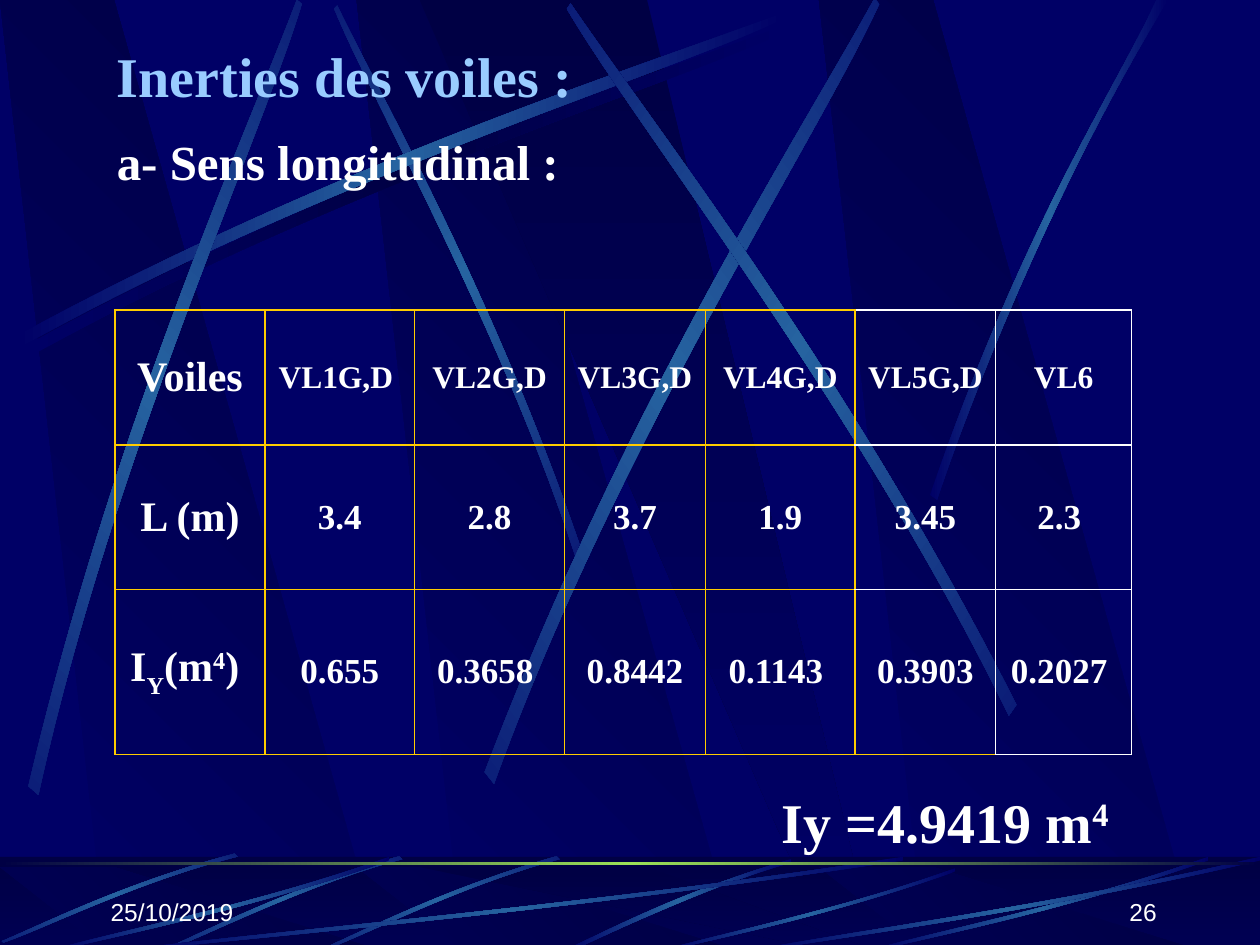
from dataclasses import dataclass

from lxml.etree import SubElement as Sub
from pptx import Presentation
from pptx.dml.color import RGBColor as Rgb
from pptx.enum.shapes import MSO_SHAPE as Kind
from pptx.enum.text import MSO_ANCHOR as Anchor, MSO_AUTO_SIZE as Auto, PP_ALIGN as Align
from pptx.oxml.ns import qn
from pptx.util import Cm, Pt


@dataclass(frozen=True)
class Theme:
    navy: str = "000066"
    night: str = "000044"
    steel: str = "2663A0"
    lime: str = "9CE157"
    sky: str = "99CCFF"
    white: str = "FFFFFF"
    gold: str = "FFCC00"
    serif: str = "Times New Roman"
    sans: str = "Arial"
    big: int = 32
    sub: int = 28
    head: int = 24
    cell: int = 20
    tag: int = 18
    foot: int = 14


BAND = [(0.28, 1), (1, 1), (0.3, 0), (0, 0)]
BEAM = [(0, 0), (0.9, 1), (1, 1), (0.5, 0)]
ARC = [(0, 0.96), (0.43, 0.43), (0.83, 0.15), (1, 0),
       (1, 0.02), (0.84, 0.19), (0.39, 0.5), (0, 1)]
BOW = [(0, 0.99), (0.4, 0.44), (0.79, 0.17), (0.95, 0),
       (1, 0), (0.52, 0.37), (0.16, 0.81), (0.03, 1)]
BLADE = [(1, 0), (0.49, 0.37), (0.16, 0.82), (0, 0.99),
         (0.03, 1), (0.23, 0.77), (0.68, 0.25), (1, 0.04)]


class Deck:
    def __init__(self, theme):
        self.look = theme
        self.file = Presentation()
        self.file.slide_width, self.file.slide_height = Cm(25.4), Cm(19.05)
        self.slide = self.file.slides.add_slide(self.file.slide_layouts[5])
        fill = self.slide.background.fill
        fill.solid()
        fill.fore_color.rgb = Rgb.from_string(theme.navy)

    def blend(self, shape, hues, angle=0):
        shape.shadow.inherit = False
        shape.line.fill.background()
        shape.fill.gradient()
        shape.fill.gradient_angle = -angle % 360
        stops = shape._element.spPr.find(qn("a:gradFill")).find(qn("a:gsLst"))
        stops.clear()
        for n, hue in enumerate(hues):
            stop = Sub(stops, qn("a:gs"), pos=str(100000 * n // (len(hues) - 1)))
            Sub(stop, qn("a:srgbClr"), val=hue)

    def form(self, points, box, hues, angle=0, turn=0, flip=False):
        x, y, w, h = box
        spots = [(Cm(x + w * (1 - u if flip else u)), Cm(y + h * v)) for u, v in points]
        pen = self.slide.shapes.build_freeform(*spots[0], scale=1.0)
        pen.add_line_segments(spots[1:], close=True)
        shape = pen.convert_to_shape()
        shape.rotation = turn
        self.blend(shape, hues, angle)
        return shape

    def bend(self, shape):
        legs = list(shape._element.iter(qn("a:lnTo")))
        for first, *rest in (legs[:3], legs[4:7]):
            first.tag = qn("a:cubicBezTo")
            for leg in rest:
                first.append(leg[0])
                leg.getparent().remove(leg)

    def streak(self, points, box, turn=0, flip=False, core=None):
        hues = (self.look.navy, core or self.look.steel, self.look.navy)
        self.bend(self.form(points, box, hues, turn=turn, flip=flip))

    def bar(self, box, hues, angle=0):
        shape = self.slide.shapes.add_shape(Kind.RECTANGLE, *map(Cm, box))
        self.blend(shape, hues, angle)

    def veil(self, box, hue, alpha):
        shape = self.slide.shapes.add_shape(Kind.RECTANGLE, *map(Cm, box))
        shape.shadow.inherit = False
        shape.line.fill.background()
        shape.fill.solid()
        shape.fill.fore_color.rgb = Rgb.from_string(hue)
        tint = shape._element.spPr.find(qn("a:solidFill"))[0]
        Sub(tint, qn("a:alpha"), val=str(alpha * 1000))

    def rays(self, top, tall):
        dim = (self.look.navy, self.look.night)
        for x in (7.19, 0, 16.51):
            self.form(BAND, (x, top, 7.67, tall), dim, 315)
        self.form(BEAM, (8.46, top, 9.17, tall), dim[::-1], 90)

    def sink(self):
        tree = self.file.slide_master.shapes._spTree
        decor = [shape for shape in self.slide.shapes if not shape.is_placeholder]
        for n, shape in enumerate(decor):
            shape._element.nvSpPr.cNvPr.set("id", str(100 + n))
            tree.insert(2 + n, shape._element)

    def run(self, para, text, size, hue=None, face=None, bold=True, base=0):
        run = para.add_run()
        run.text = text
        font = run.font
        font.size, font.bold = Pt(size), bold
        font.name = face or self.look.serif
        font.color.rgb = Rgb.from_string(hue or self.look.white)
        if base:
            run._r.get_or_add_rPr().set("baseline", str(base * 1000))

    def title(self, box, lines):
        shape = self.slide.shapes.title
        shape.left, shape.top, shape.width, shape.height = map(Cm, box)
        frame = shape.text_frame
        frame.word_wrap, frame.auto_size = True, Auto.NONE
        frame.vertical_anchor = Anchor.TOP
        for n, (text, size, hue, gap) in enumerate(lines):
            para = frame.add_paragraph() if n else frame.paragraphs[0]
            para.alignment, para.space_before = Align.LEFT, Pt(gap)
            self.run(para, text, size, hue)

    def label(self, box, align=Align.LEFT, anchor=Anchor.TOP, inset=0.13):
        frame = self.slide.shapes.add_textbox(*map(Cm, box)).text_frame
        frame.word_wrap, frame.vertical_anchor = True, anchor
        frame.margin_top = Cm(inset)
        para = frame.paragraphs[0]
        para.alignment = align
        return para

    def edge(self, cell, hues):
        props = cell._tc.get_or_add_tcPr()
        for side, hue in zip("LRTB", hues):
            line = Sub(props, qn("a:ln" + side), w=str(Pt(1)))
            if hue:
                Sub(Sub(line, qn("a:solidFill")), qn("a:srgbClr"), val=hue)
            else:
                Sub(line, qn("a:noFill"))

    def grid(self, spot, cols, rows, data, rim):
        size = (sum(cols), sum(rows))
        table = self.slide.shapes.add_table(
            len(rows), len(cols), *map(Cm, spot + size)).table
        table.first_row = table.horz_banding = False
        for col, wide in zip(table.columns, cols):
            col.width = Cm(wide)
        for r, (row, tall) in enumerate(zip(table.rows, rows)):
            row.height = Cm(tall)
            for c, cell in enumerate(row.cells):
                self.edge(cell, rim(r, c))
                cell.fill.background()
                cell.vertical_anchor = Anchor.MIDDLE
                para = cell.text_frame.paragraphs[0]
                para.alignment = Align.CENTER
                for text, pts, base in data[r][c]:
                    self.run(para, text, pts, base=base)


def main():
    look = Theme()
    deck = Deck(look)

    deck.rays(0, 19.1)
    deck.streak(ARC, (0.51, 0.46, 15.44, 6.78), core=look.night)
    deck.streak(ARC, (3.58, 3.43, 11.23, 4.45), 45, True)
    deck.streak(ARC, (0.36, 0.25, 15.44, 6.78))
    deck.streak(ARC, (-4.34, 4.62, 15.44, 6.78), 311.7)
    deck.streak(ARC, (5.87, 4.06, 15.85, 7.65), 321.6)
    deck.streak(ARC, (8.2, 3.86, 15.44, 6.78), 34.7, True)
    deck.streak(BOW, (18.75, 0, 4.8, 10.08))

    floor = (0, 17.27, 25.4, 1.91)
    deck.bar(floor, (look.night, look.navy), 90)
    deck.rays(17.48, 1.68)
    deck.veil(floor, look.night, 50)
    deck.streak(BLADE, (11.38, 17.32, 4.57, 1.85))
    for x, y, w, h in ((6.55, 17.17, 4.67, 2.11), (3.38, 17.17, 4.67, 2.11),
                       (0.13, 17.04, 4.57, 2.16)):
        deck.streak(ARC, (x, y, w, h), 315, True)
    for x, y, w, h in ((2.54, 17.27, 15.67, 1.91), (1.07, 17.27, 6.78, 1.91),
                       (13.39, 17.5, 5.87, 1.68), (17.58, 17.27, 6.78, 1.91),
                       (15.24, 17.27, 10.16, 1.91)):
        deck.streak(ARC, (x, y, w, h), 180)
    deck.bar((0, 17.37, 25.4, 0.06), (look.night, look.lime, look.night))
    deck.sink()

    for x, text, align in ((1.98, "25/10/2019", Align.LEFT), (18.29, "26", Align.RIGHT)):
        para = deck.label((x, 17.53, 5.28, 1.27), align, Anchor.BOTTOM)
        deck.run(para, text, look.foot, face=look.sans, bold=False)

    deck.title((2.1, 0.71, 10.41, 3.4), (
        ("Inerties des voiles :", look.big, look.sky, 0),
        ("a- Sens longitudinal :", look.sub, look.white, 13)))

    names = ("VL1G,D ", "VL2G,D", "VL3G,D ", "VL4G,D", "VL5G,D ", "VL6", "")
    spans = ("3.4", "2.8", "3.7", "1.9", "3.45", "2.3 ", "")
    moments = ("0.655", "0.3658 ", "0.8442", "0.1143 ", "0.3903", "0.2027 ", "")
    heads = ([("Voiles", 0)], [("L (m)", 0)],
             [("I", 0), ("Y", -30), ("(m", 0), ("4", 30), (") ", 0)])
    data = [
        [[(text, look.head, base) for text, base in head]]
        + [[(text, size, 0)] if text else [] for text in row]
        for head, row, size in zip(heads, (names, spans, moments),
                                   (look.tag, look.cell, look.cell))
    ]

    def rim(row, col):
        if col < 5:
            return (look.gold,) * 4
        if col == 5:
            return look.gold, look.white, look.white, look.gold if row == 2 else look.white
        return (look.white,) * 4 if col == 6 else (look.white, None, None, None)

    deck.grid((2.32, 6.25), (3.02, 3.02, 3.02, 2.84, 3.02, 2.83, 2.74, 0.58),
              (2.72, 2.91, 3.33), data, rim)

    para = deck.label((15.51, 15.32, 11.2, 2.11), inset=0.55)
    deck.run(para, "Iy =4.9419 m", look.big)
    deck.run(para, "4", look.big, base=30)
    deck.file.save("out.pptx")


if __name__ == "__main__":
    main()
